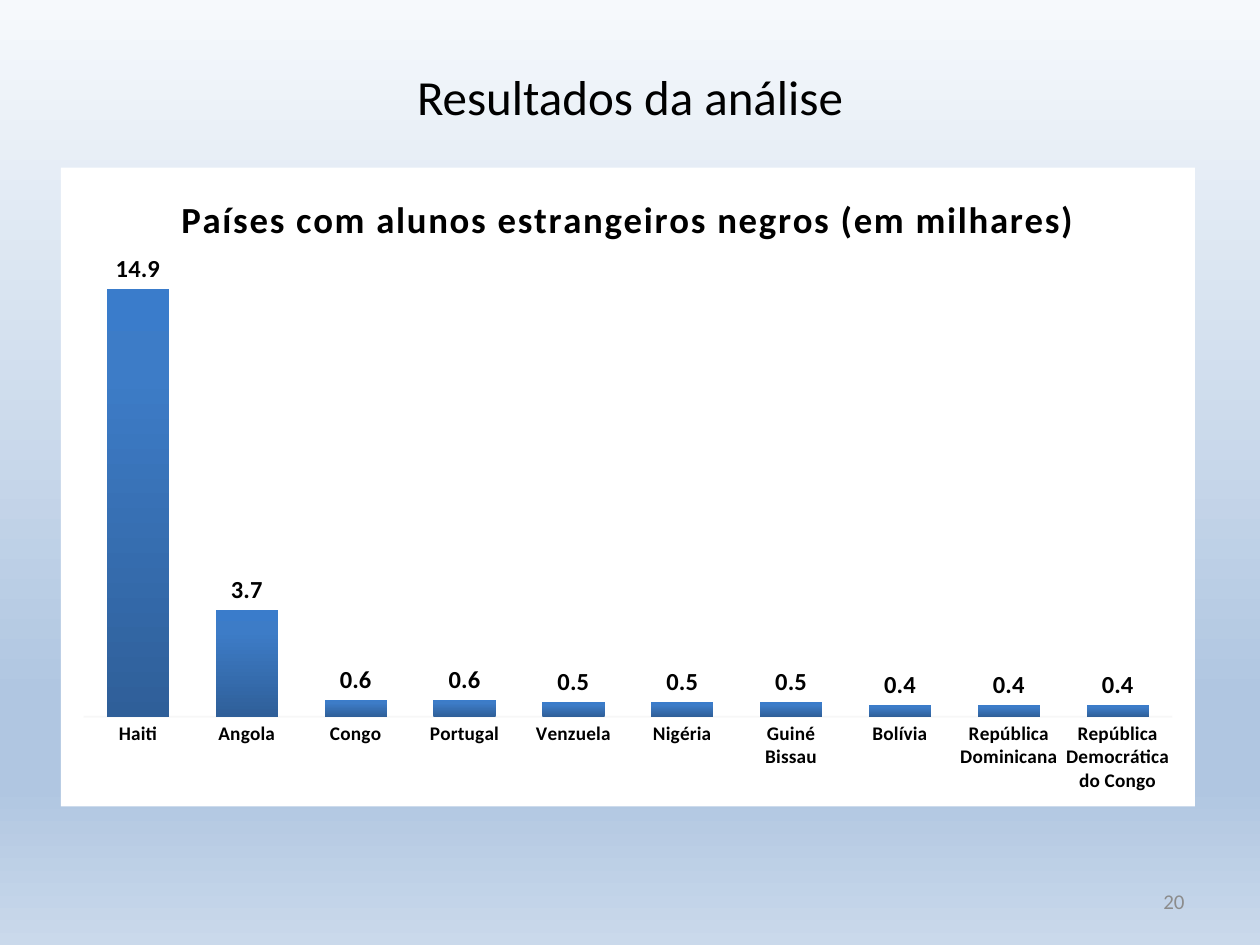
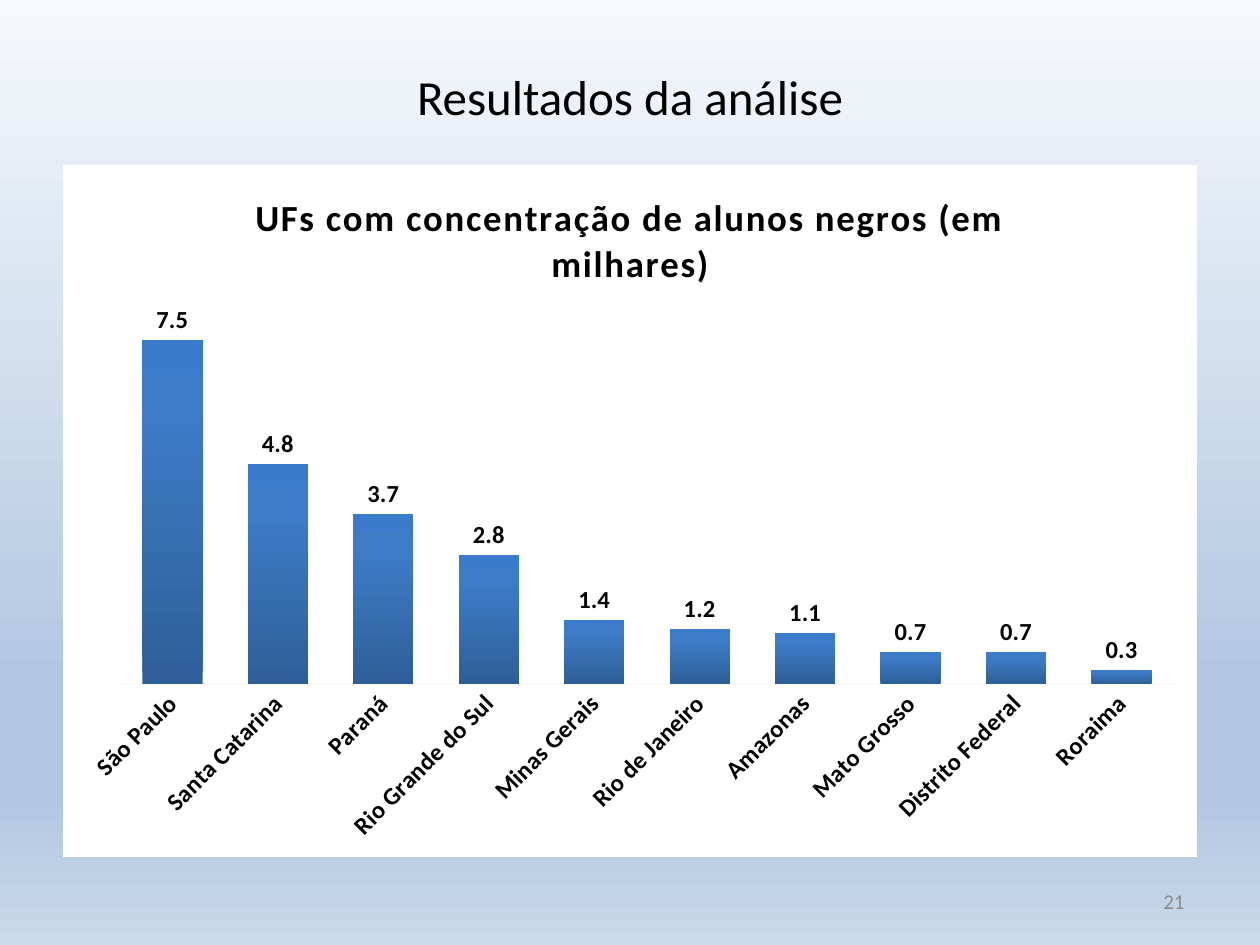
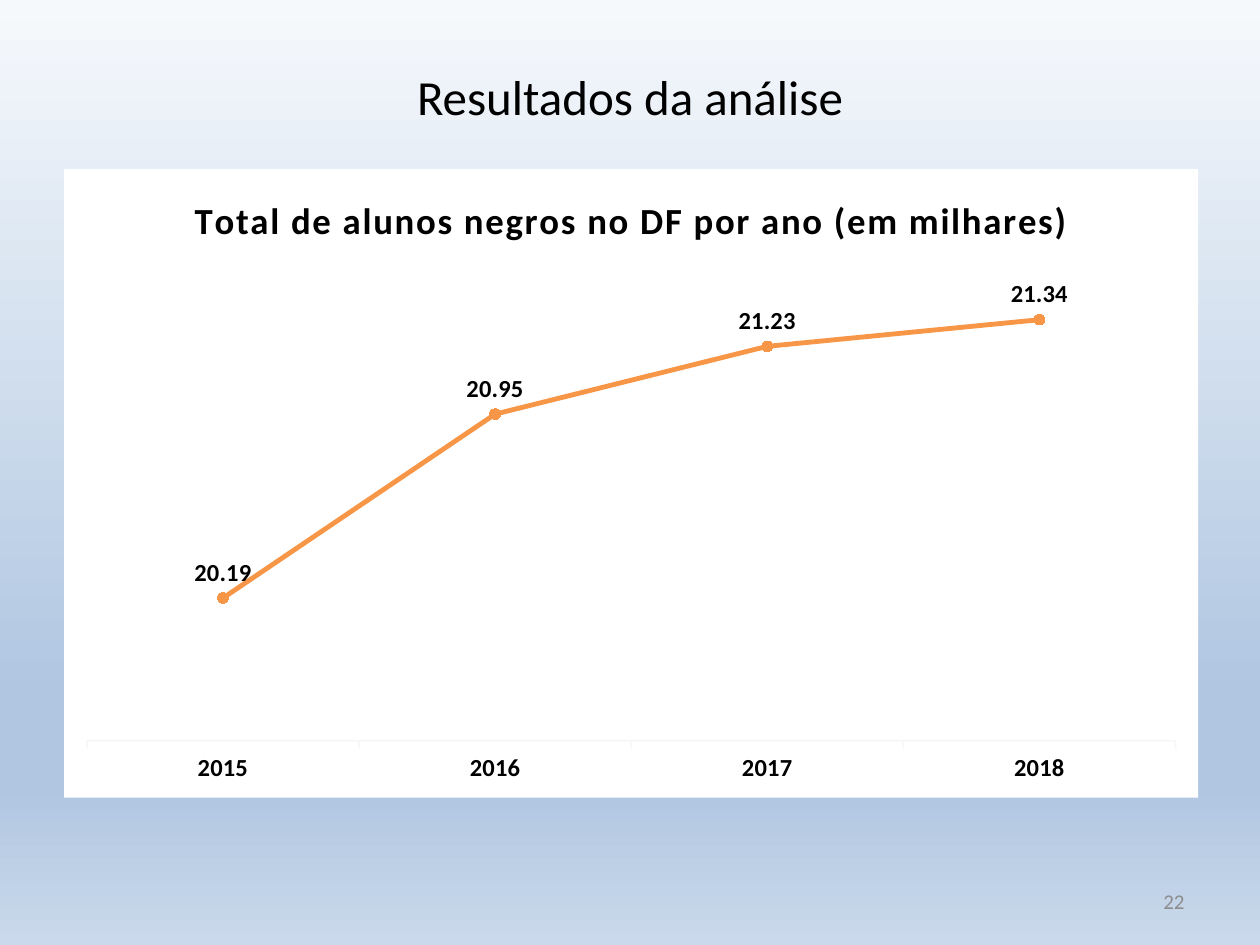
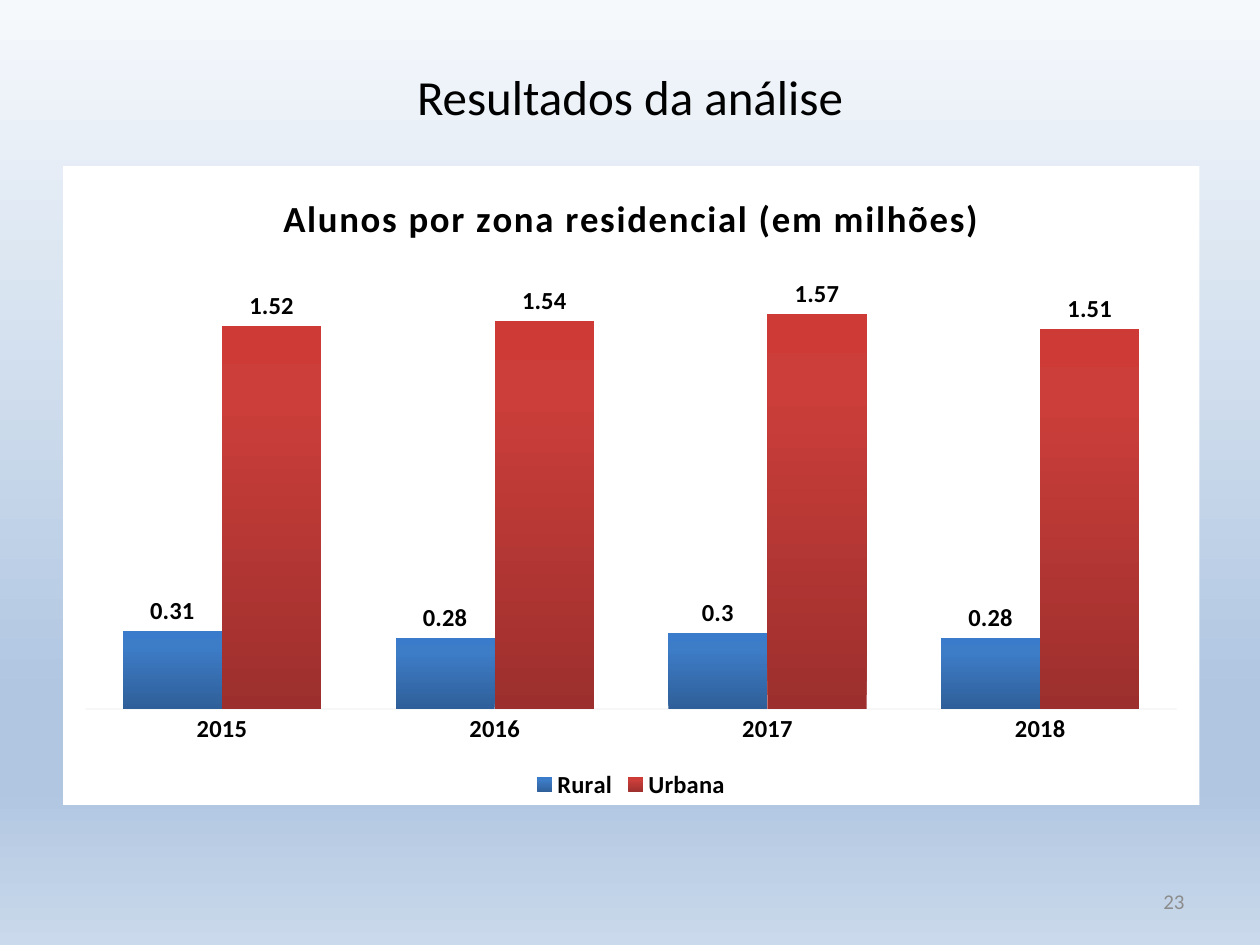
"""Build four result slides, each with one native chart."""
from dataclasses import dataclass

from lxml import etree
from pptx import Presentation
from pptx import util as u
from pptx.chart import data as cd
from pptx.dml.color import RGBColor
from pptx.enum import chart as ec
from pptx.enum import text as et
from pptx.oxml import ns, parse_xml

Pt = u.Pt
FONT = "Calibri"
HUES = {
    "black": "000000", "white": "FFFFFF", "grey": "8C8C8C", "axis": "F2F2F2",
    "orange": "F79646", "dot": "FF9034",
    "sky0": "F6F9FC", "sky1": "B0C6E1", "sky2": "CAD9EB",
    "blue0": "2F5F99", "blue1": "3D7CC7", "blue2": "3A7CCB",
    "red0": "9C2F2D", "red1": "CB3E3A", "red2": "CE3B37",
}
SKY = [(0, "sky0"), (74, "sky1"), (83, "sky1"), (100, "sky2")]
BARS = [[(0, f"{hue}0"), (80, f"{hue}1"), (100, f"{hue}2")] for hue in ("blue", "red")]
YEARS = ["2015", "2016", "2017", "2018"]
HEAD = "Resultados da análise"
FIRST = 20


@dataclass
class Graph:
    """One slide's chart: box in points, plot area in shares of the box."""
    title: str
    box: tuple[float, float, float, float]
    plot: tuple[float, float, float, float]
    cats: list[str]
    rows: dict[str, list[float]]
    span: tuple[float, float]
    size: float = 14
    turn: int = 0
    line: bool = False


GRAPHS = [
    Graph("Países com alunos estrangeiros negros (em milhares)",
          (34.8, 95.8, 648, 365), (0.02, 0.14, 0.96, 0.72),
          ["Haiti", "Angola", "Congo", "Portugal", "Venzuela", "Nigéria", "Guiné Bissau",
           "Bolívia", "República Dominicana", "República Democrática do Congo"],
          {"Series 1": [14.9, 3.7, 0.6, 0.6, 0.5, 0.5, 0.5, 0.4, 0.4, 0.4]},
          (0, 16), size=11),
    Graph("UFs com concentração de alunos negros (em milhares)",
          (36, 94.3, 648, 395.3), (0.05, 0.22, 0.93, 0.53),
          ["São Paulo", "Santa Catarina", "Paraná", "Rio Grande do Sul", "Minas Gerais",
           "Rio de Janeiro", "Amazonas", "Mato Grosso", "Distrito Federal", "Roraima"],
          {"Series 1": [7.5, 4.8, 3.7, 2.8, 1.4, 1.2, 1.1, 0.7, 0.7, 0.3]},
          (0, 8), turn=-45),
    Graph("Total de alunos negros no DF por ano (em milhares)",
          (36.7, 96.5, 648, 359.3), (0.02, 0.14, 0.96, 0.77),
          YEARS, {"Series 1": [20.19, 20.95, 21.23, 21.34]}, (19.6, 21.6), line=True),
    Graph("Alunos por zona residencial (em milhões)",
          (36, 95, 649.4, 365), (0.02, 0.14, 0.96, 0.71),
          YEARS, {"Rural": [0.31, 0.28, 0.3, 0.28], "Urbana": [1.52, 1.54, 1.57, 1.51]},
          (0, 1.8)),
]


def rgb(hue: str) -> RGBColor:
    """Look up a named colour."""
    return RGBColor.from_string(HUES[hue])


def style(font, size: float, hue: str = "black", bold: bool = False) -> None:
    """Set the shared font with a size, colour and weight."""
    font.name, font.size, font.bold = FONT, Pt(size), bold
    font.color.rgb = rgb(hue)


def write(frame, text: str, *, size: float, hue: str = "black", bold: bool = False,
          align=et.PP_ALIGN.CENTER, gap: float = 0) -> None:
    """Put one formatted line in a text frame."""
    para = frame.paragraphs[0]
    para.alignment = align
    run = para.add_run()
    run.text = text
    style(run.font, size, hue, bold)
    if gap:
        run.font._element.set("spc", str(round(gap * 100)))


def label(slide, box: tuple, text: str, *, anchor=et.MSO_ANCHOR.TOP, top: float = 3.6,
          **look) -> None:
    """Add a text box holding one line."""
    frame = slide.shapes.add_textbox(*map(Pt, box)).text_frame
    frame.word_wrap, frame.vertical_anchor = True, anchor
    frame.margin_top = Pt(top)
    write(frame, text, **look)


def blend(fill, node, stops: list[tuple[int, str]], angle: int) -> None:
    """Give the newest fill under a node a gradient of several stops."""
    fill.gradient()
    fill.gradient_angle = angle
    group = list(node.iter(ns.qn("a:gsLst")))[-1]
    for stop in list(group):
        group.remove(stop)
    for place, hue in stops:
        stop = etree.SubElement(group, ns.qn("a:gs"), pos=str(place * 1000))
        etree.SubElement(stop, ns.qn("a:srgbClr"), val=HUES[hue])


def frame_plot(chart, plot: tuple) -> None:
    """Fix the inner plot area and give the chart a white ground."""
    root = chart.element.find(ns.qn("c:chart"))
    area = root.find(ns.qn("c:plotArea"))
    for old in area.findall(ns.qn("c:layout")):
        area.remove(old)
    modes = '<c:xMode val="edge"/><c:yMode val="edge"/>'
    sides = "".join(f'<c:{key} val="{val}"/>' for key, val in zip("xywh", plot))
    area.insert(0, parse_xml(
        f'<c:layout {ns.nsdecls("c")}><c:manualLayout><c:layoutTarget val="inner"/>'
        f'{modes}{sides}</c:manualLayout></c:layout>'))
    root.addnext(parse_xml(
        f'<c:spPr {ns.nsdecls("c", "a")}><a:solidFill><a:srgbClr val="{HUES["white"]}"/>'
        '</a:solidFill><a:ln><a:noFill/></a:ln></c:spPr>'))


def set_axes(chart, graph: Graph) -> None:
    """Style the category axis and hide the value axis."""
    cat, val = chart.category_axis, chart.value_axis
    style(cat.tick_labels.font, graph.size, bold=True)
    marks = ec.XL_TICK_MARK
    cat.major_tick_mark = marks.OUTSIDE if graph.line else marks.NONE
    cat.has_major_gridlines = val.has_major_gridlines = False
    edge = cat.format.line
    edge.width, edge.color.rgb = Pt(1), rgb("axis")
    node = chart.element.find(".//" + ns.qn("c:catAx"))
    tint = node.find(ns.qn("c:spPr")).find(".//" + ns.qn("a:srgbClr"))
    etree.SubElement(tint, ns.qn("a:alpha"), val="54000")
    body = node.find(ns.qn("c:txPr")).find(ns.qn("a:bodyPr"))
    body.set("rot", str(graph.turn * 60000))
    val.minimum_scale, val.maximum_scale = graph.span
    val.visible = False


def set_rows(chart, graph: Graph) -> None:
    """Colour the series and show their values."""
    plot = chart.plots[0]
    plot.vary_by_categories = False
    if not graph.line:
        plot.gap_width, plot.overlap = 75, 0
    spots = ec.XL_LABEL_POSITION
    for row, stops in zip(plot.series, BARS):
        if graph.line:
            row.smooth = False
            row.format.line.width = Pt(2.75)
            row.format.line.color.rgb = rgb("orange")
            dot = row.marker
            dot.style, dot.size = ec.XL_MARKER_STYLE.CIRCLE, 6
            dot.format.fill.solid()
            dot.format.fill.fore_color.rgb = rgb("dot")
            dot.format.line.fill.background()
        else:
            blend(row.format.fill, chart.element, stops, 90)
        tags = row.data_labels
        tags.show_value = True
        tags.position = spots.ABOVE if graph.line else spots.OUTSIDE_END
        style(tags.font, 14, bold=True)


def draw(slide, graph: Graph) -> None:
    """Add a chart to a slide."""
    data = cd.CategoryChartData()
    data.categories = graph.cats
    for name, vals in graph.rows.items():
        data.add_series(name, vals)
    kinds = ec.XL_CHART_TYPE
    kind = kinds.LINE_MARKERS if graph.line else kinds.COLUMN_CLUSTERED
    chart = slide.shapes.add_chart(kind, *map(Pt, graph.box), data).chart
    style(chart.font, 10)
    chart.has_title = True
    write(chart.chart_title.text_frame, graph.title, size=21, bold=True, gap=1)
    chart.chart_title.include_in_layout = False
    chart.has_legend = len(graph.rows) > 1
    if chart.has_legend:
        chart.legend.position = ec.XL_LEGEND_POSITION.BOTTOM
        chart.legend.include_in_layout = False
        style(chart.legend.font, 14, bold=True)
    set_axes(chart, graph)
    set_rows(chart, graph)
    frame_plot(chart, graph.plot)


def main() -> None:
    """Build and save the deck."""
    deck = Presentation()
    deck.slide_width, deck.slide_height = Pt(720), Pt(540)
    base = deck.slide_master
    blend(base.background.fill, base.element, SKY, 270)
    for num, graph in enumerate(GRAPHS, FIRST):
        slide = deck.slides.add_slide(deck.slide_layouts[6])
        label(slide, (0, 0, 720, graph.box[1]), HEAD, size=28, top=37.8)
        label(slide, (516, 500.5, 168, 28.8), str(num), size=12, hue="grey",
              align=et.PP_ALIGN.RIGHT, anchor=et.MSO_ANCHOR.MIDDLE)
        draw(slide, graph)
    deck.save("out.pptx")


if __name__ == "__main__":
    main()
